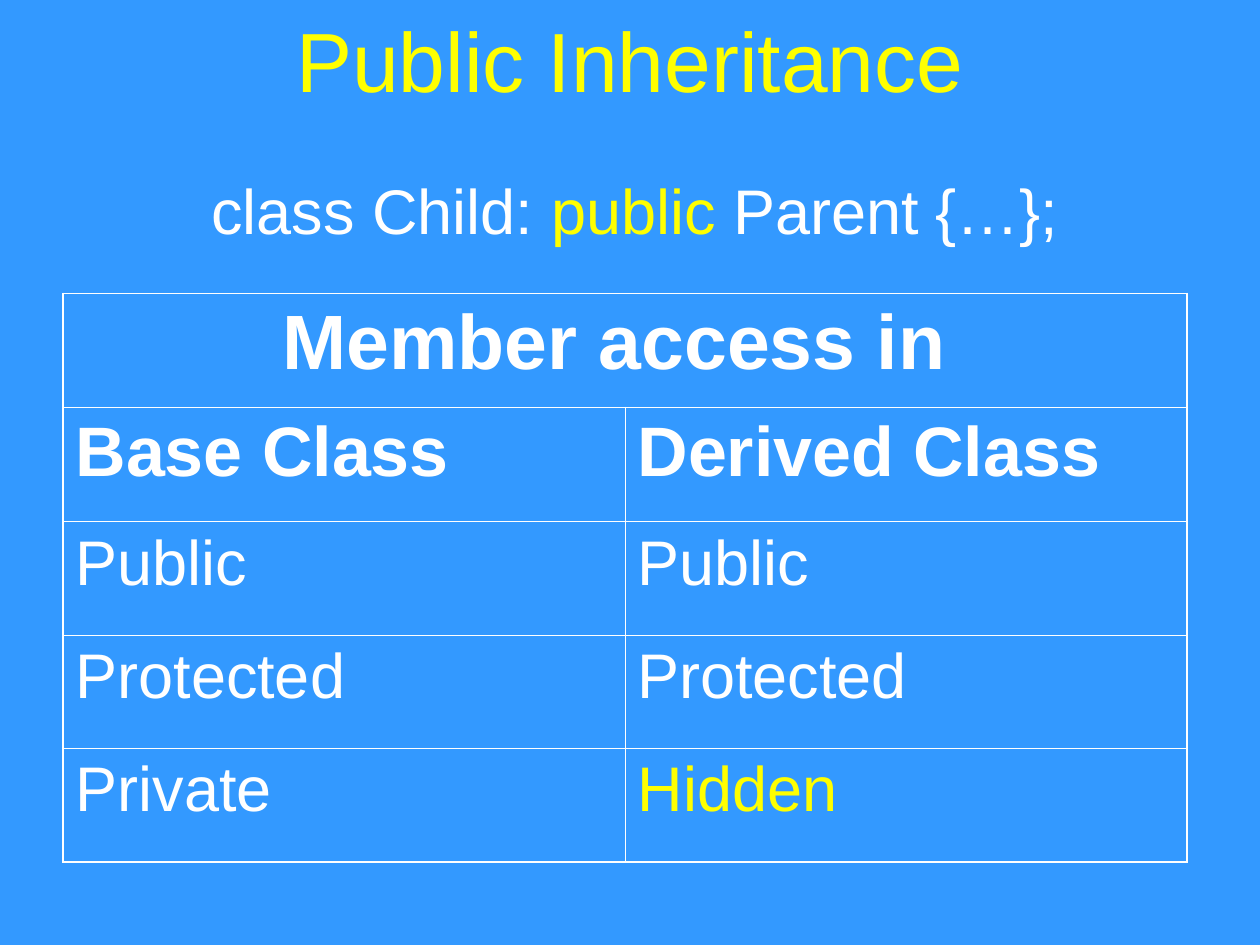
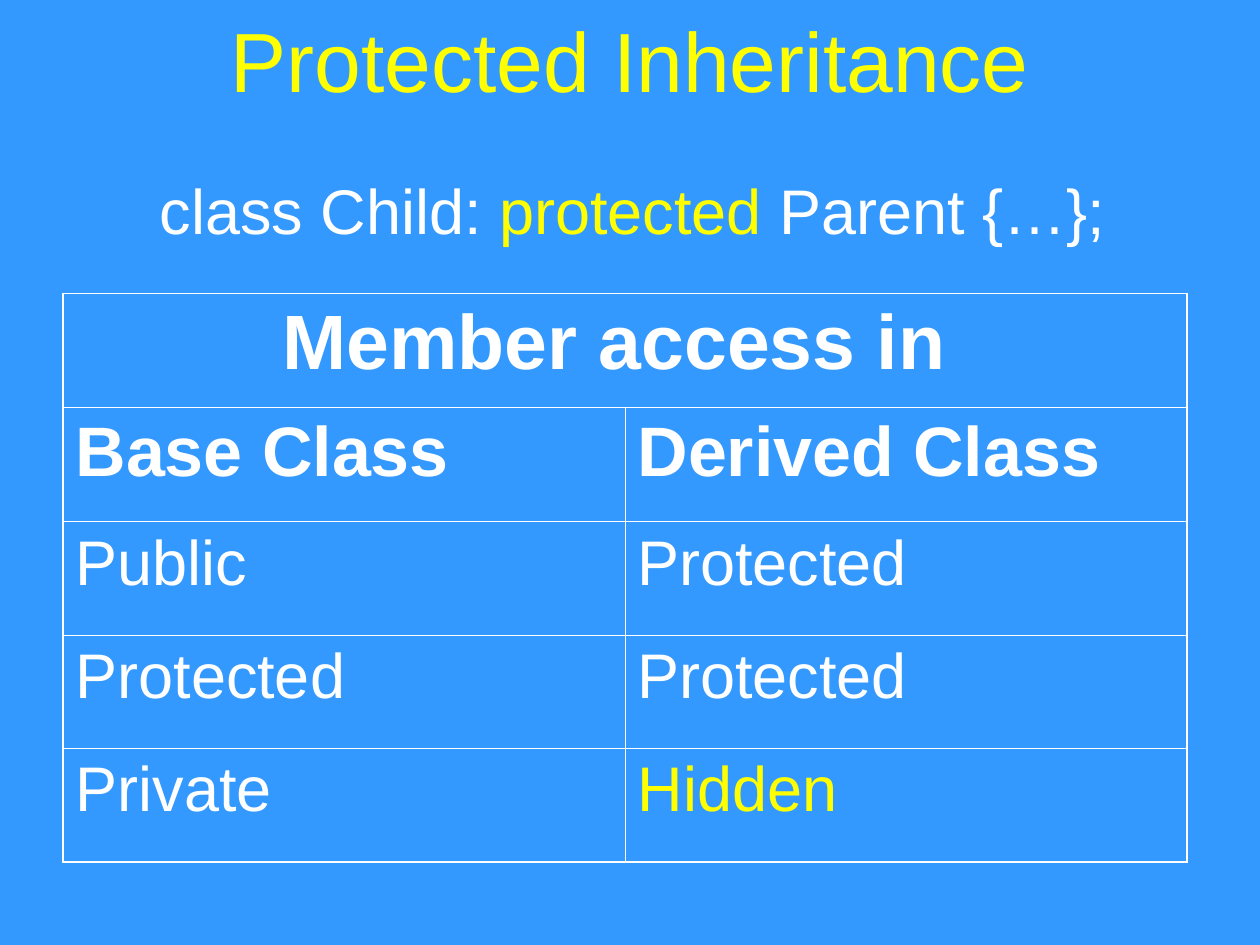
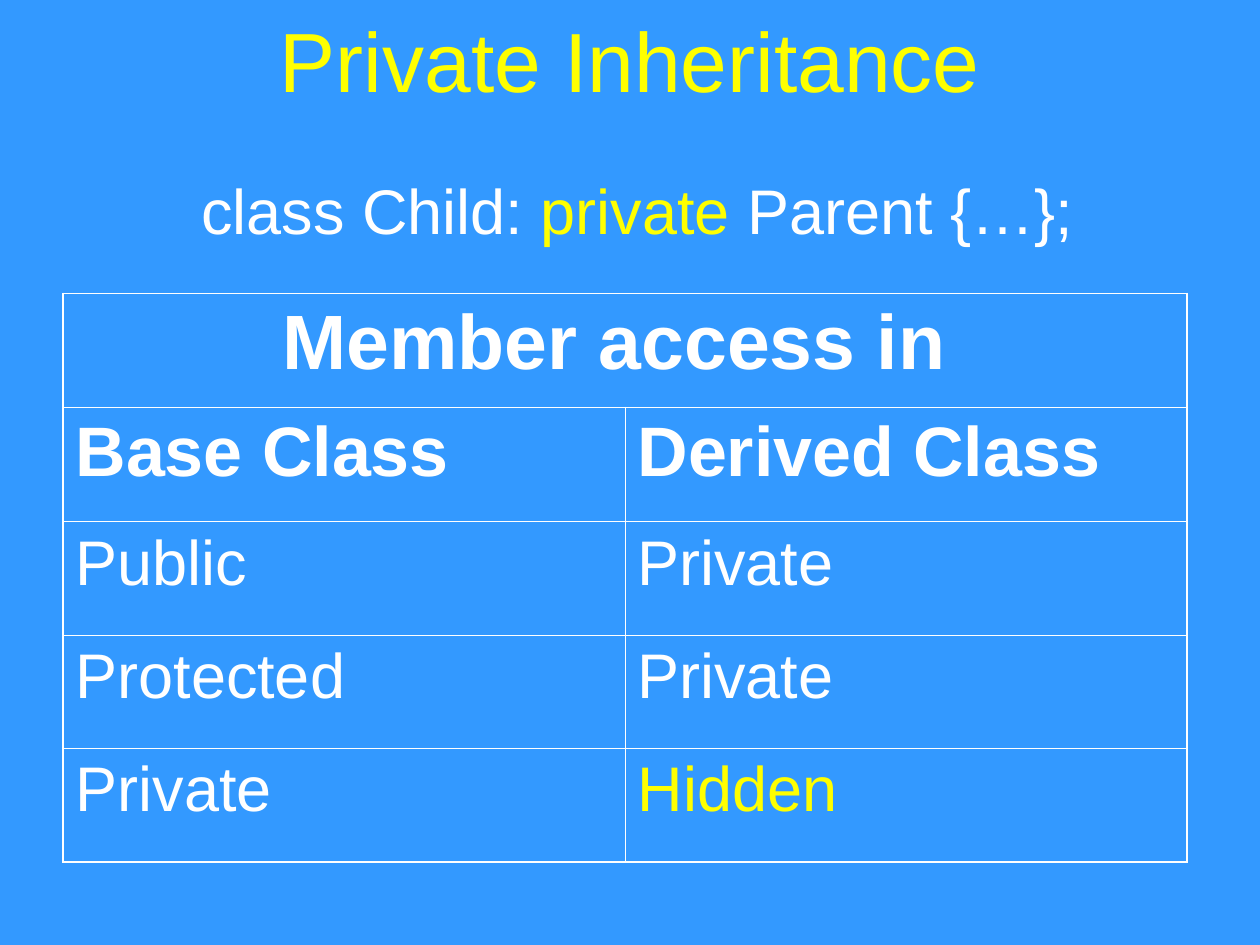
from pptx import Presentation
from pptx.dml.color import RGBColor
from pptx.enum.text import MSO_ANCHOR as Anchor, MSO_AUTO_SIZE as AutoSize, PP_ALIGN as Align
from pptx.oxml.ns import qn
from pptx.util import Inches, Pt
from lxml.etree import SubElement

COLORS = {"sky": "3399FF", "accent": "FFFF00", "plain": "FFFFFF"}
FONT = "Arial"
OUTER_LINE, INNER_LINE = Pt(1.08), Pt(0.45)
ROW_HEIGHTS = (0.9, 0.91, 0.9, 0.9, 0.9)
COLUMN_WIDTH = 4.46
BASE_ACCESS = ("Public", "Protected", "Private")

# Inheritance kind, access in the derived class, left and width of the code line
INHERITANCE = [
    ("Public", ("Public", "Protected", "Hidden"), 1.58, 6.97),
    ("Protected", ("Protected", "Protected", "Hidden"), 1.17, 7.75),
    ("Private", ("Private", "Private", "Hidden"), 1.5, 7.17),
]


class Deck:
    """Shared style and the slide being built."""

    def __init__(self):
        self.prs = Presentation()
        self.prs.slide_width, self.prs.slide_height = Inches(10), Inches(7.5)
        self.slide = None

    def new_slide(self):
        self.slide = self.prs.slides.add_slide(self.prs.slide_layouts[6])
        fill = self.slide.background.fill
        fill.solid()
        fill.fore_color.rgb = RGBColor.from_string(COLORS["sky"])

    def run(self, paragraph, text, size, color="plain", bold=False):
        run = paragraph.add_run()
        run.text = text
        font = run.font
        font.name, font.size, font.bold = FONT, Pt(size), bold
        font.color.rgb = RGBColor.from_string(COLORS[color])

    def text_frame(self, left, top, width, height):
        box = self.slide.shapes.add_textbox(
            Inches(left), Inches(top), Inches(width), Inches(height))
        return box.text_frame

    def title(self, text):
        frame = self.text_frame(0.5, -0.16, 9, 1.25)
        frame.word_wrap = True
        frame.vertical_anchor = Anchor.MIDDLE
        heading = frame.paragraphs[0]
        heading.alignment = Align.CENTER
        self.run(heading, text, 48, "accent")

    def code_line(self, keyword, left, width):
        frame = self.text_frame(left, 1.31, width, 0.7)
        frame.word_wrap = False
        frame.auto_size = AutoSize.NONE
        code = frame.paragraphs[0]
        code.alignment = Align.LEFT
        self.run(code, "class Child: ", 36)
        self.run(code, keyword, 36, "accent")
        self.run(code, " Parent {…};", 36)

    def borders(self, cell, outer_edges):
        props = cell._tc.get_or_add_tcPr()
        for edge in "LRTB":
            width = OUTER_LINE if edge in outer_edges else INNER_LINE
            line = SubElement(props, qn(f"a:ln{edge}"), w=str(width))
            fill = SubElement(line, qn("a:solidFill"))
            SubElement(fill, qn("a:srgbClr"), val=COLORS["plain"])

    def access_table(self, derived_access):
        rows = [("Member access in ", ""), ("Base Class", "Derived Class"),
                *zip(BASE_ACCESS, derived_access)]
        table = self.slide.shapes.add_table(
            len(rows), 2, Inches(0.5), Inches(2.33),
            Inches(2 * COLUMN_WIDTH), Inches(sum(ROW_HEIGHTS))).table
        table.first_row = table.horz_banding = False
        for column in table.columns:
            column.width = Inches(COLUMN_WIDTH)
        table.cell(0, 0).merge(table.cell(0, 1))

        for r, (labels, height) in enumerate(zip(rows, ROW_HEIGHTS)):
            table.rows[r].height = Inches(height)
            size = {0: 44, 1: 40}.get(r, 36)
            for c, label in enumerate(labels):
                cell = table.cell(r, c)
                vertical = "LR" if r == 0 else "LR"[c]
                horizontal = {0: "T", len(rows) - 1: "B"}.get(r, "")
                self.borders(cell, vertical + horizontal)
                cell.fill.background()
                if label:
                    entry = cell.text_frame.paragraphs[0]
                    entry.alignment = Align.CENTER if r == 0 else Align.LEFT
                    color = "accent" if label == "Hidden" else "plain"
                    self.run(entry, label, size, color, bold=r < 2)


def main():
    deck = Deck()
    for kind, derived_access, code_left, code_width in INHERITANCE:
        deck.new_slide()
        deck.title(f"{kind} Inheritance")
        deck.access_table(derived_access)
        deck.code_line(kind.lower(), code_left, code_width)
    deck.prs.save("out.pptx")


if __name__ == "__main__":
    main()
